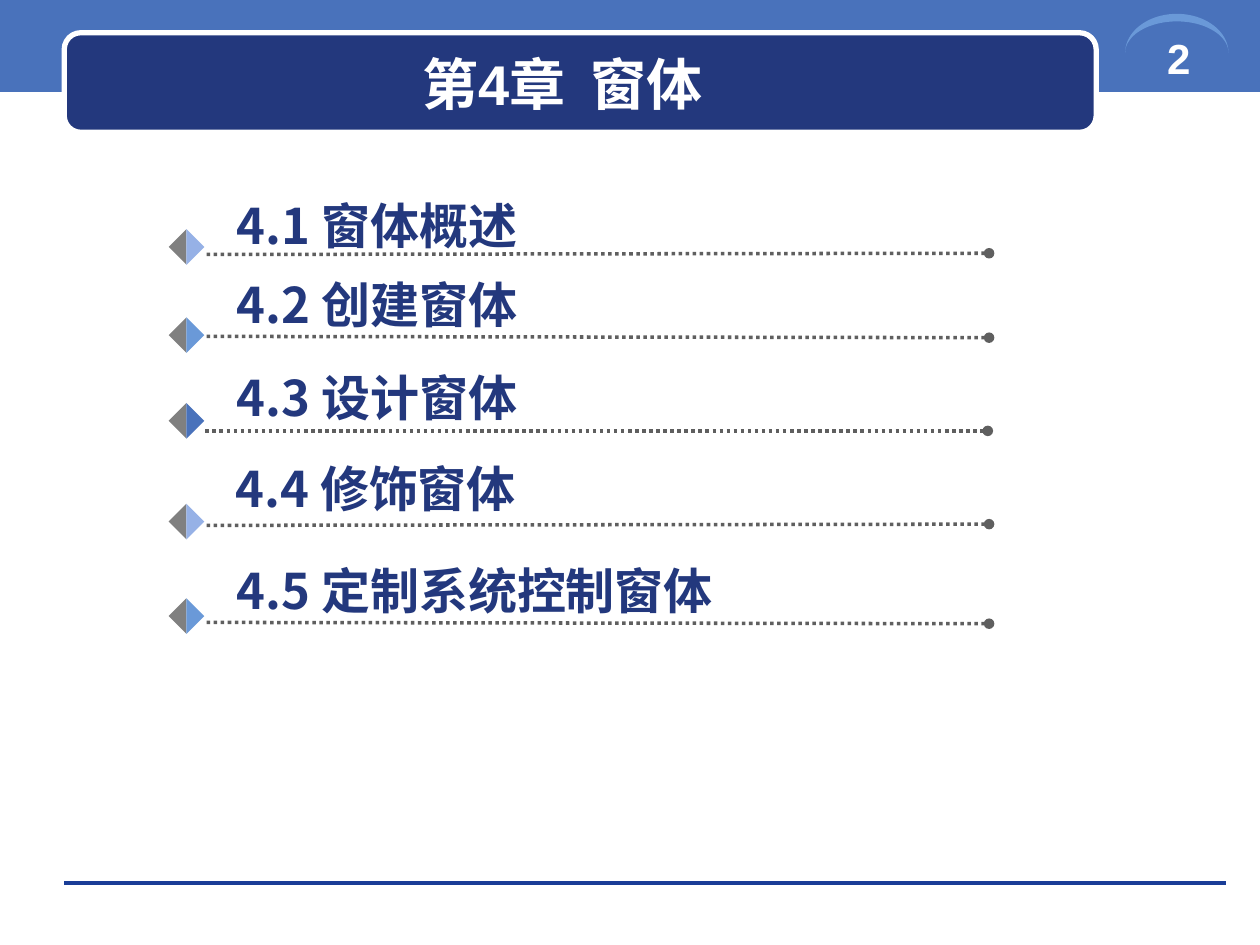
"""Build the chapter 4 contents slide with its five section headings."""
from math import cos, pi, sin

from pptx import Presentation
from pptx.dml.color import RGBColor
from pptx.enum.dml import MSO_LINE
from pptx.enum.shapes import MSO_CONNECTOR, MSO_SHAPE
from pptx.enum.text import MSO_ANCHOR, PP_ALIGN
from pptx.oxml.ns import qn
from pptx.util import Inches, Pt
from lxml.etree import SubElement


def paint(target, color):
    if hasattr(target, "solid"):
        target.solid()
        target = target.fore_color
    elif hasattr(target, "color"):
        target = target.color
    target.rgb = RGBColor.from_string(color)


def write(paragraph, text, latin, east_asian, size, color):
    run = paragraph.add_run()
    run.text = text
    for name, value in {"name": latin, "size": Pt(size), "bold": True}.items():
        setattr(run.font, name, value)
    paint(run.font, color)
    SubElement(run.font._element, qn("a:ea"), typeface=east_asian)


NAVY, BLUE, SKY, LILAC = "23387D", "4972BB", "6A99D8", "96B1E6"
SC, JP = "Noto Sans CJK SC", "Noto Sans CJK JP"

deck = Presentation()
deck.slide_width, deck.slide_height = Inches(10), Inches(7.5)
slide = deck.slides.add_slide(deck.slide_layouts[5])
shapes = slide.shapes

band = shapes.add_shape(MSO_SHAPE.RECTANGLE, 0, Inches(-0.03), Inches(10), Inches(0.76))
band.line.fill.background()

rule = shapes.add_connector(MSO_CONNECTOR.STRAIGHT, Inches(0.51), Inches(7.01), Inches(9.73), Inches(7.01))
paint(rule.line, "1A3D97")
rule.line.width = Pt(0)
SubElement(rule._element.spPr, qn("a:effectLst"))

banner = shapes.add_shape(MSO_SHAPE.ROUNDED_RECTANGLE, Inches(0.51), Inches(0.26), Inches(8.19), Inches(0.79))
paint(banner.line, "FFFFFF")
banner.line.width = Pt(3)

angles = [step * pi / 40 for step in range(41)]
rim = [(9.34 + 0.41 * cos(a), 0.42 - 0.31 * sin(a)) for a in angles]
rim += [(9.34 + 0.41 * cos(a), 0.42 - 0.25 * sin(a)) for a in reversed(angles)]
outline = [(Inches(x), Inches(y)) for x, y in rim]
builder = shapes.build_freeform(*outline[0])
builder.add_line_segments(outline[1:])
crescent = builder.convert_to_shape()
crescent.line.fill.background()

for part, color in ((band, BLUE), (banner, NAVY), (crescent, SKY)):
    paint(part.fill, color)
    part.shadow.inherit = False

page = shapes.add_textbox(Inches(8.9), Inches(0.21), Inches(0.91), Inches(0.71)).text_frame
page.word_wrap = True
page.paragraphs[0].alignment = PP_ALIGN.CENTER
write(page.paragraphs[0], "2", "Arial", "Arial", 24, "FFFFFF")

title = shapes.title
for name, value in {"left": 0.6, "top": 0.35, "width": 7.83, "height": 0.62}.items():
    setattr(title, name, Inches(value))
title.text_frame.vertical_anchor = MSO_ANCHOR.MIDDLE
title.text_frame.paragraphs[0].alignment = PP_ALIGN.CENTER
write(title.text_frame.paragraphs[0], "第4章  窗体 ", "Arial", SC, 32, "FFFFFF")
shapes._spTree.append(title._element)

sections = [
    ("4.1 ", "窗体概述", LILAC, 1.64, 2.02, 2.01, 1.86, 1.78, 1.5, 4.25),
    ("4.2 ", "创建窗体", SKY, 1.64, 2.67, 2.68, 2.56, 1.78, 2.13, 5.83),
    ("4.3 ", "设计窗体", BLUE, 1.63, 3.42, 3.42, 3.24, 1.78, 2.87, 5.17),
    ("4.4 ", "修饰窗体", LILAC, 1.64, 4.17, 4.16, 4.04, 1.77, 3.59, 6.14),
    ("4.5 ", "定制系统控制窗体", SKY, 1.64, 4.94, 4.95, 4.79, 1.78, 4.4, 5.83),
]
for number, heading, accent, dots_x, start_y, end_y, gem_y, text_x, text_y, text_width in sections:
    dots = shapes.add_connector(
        MSO_CONNECTOR.STRAIGHT, Inches(dots_x), Inches(start_y), Inches(dots_x + 6.21), Inches(end_y))
    paint(dots.line, "5F5F5F")
    dots.line.width = Pt(2)
    dots.line.dash_style = MSO_LINE.ROUND_DOT
    SubElement(dots.line._get_or_add_ln(), qn("a:tailEnd"), type="oval")
    SubElement(dots._element.spPr, qn("a:effectLst"))

    gem = shapes.add_group_shape()
    for angle, color in ((45, "808080"), (225, accent)):
        half = gem.shapes.add_shape(
            MSO_SHAPE.RIGHT_TRIANGLE, Inches(1.38), Inches(gem_y), Inches(0.2), Inches(0.2))
        half.rotation = angle
        half.shadow.inherit = False
        half.line.fill.background()
        paint(half.fill, color)

    label = shapes.add_textbox(Inches(text_x), Inches(text_y), Inches(text_width), Inches(0.57)).text_frame
    label.word_wrap = True
    write(label.paragraphs[0], number, JP, JP, 28, NAVY)
    write(label.paragraphs[0], heading, SC, SC, 28, NAVY)

deck.save("out.pptx")
